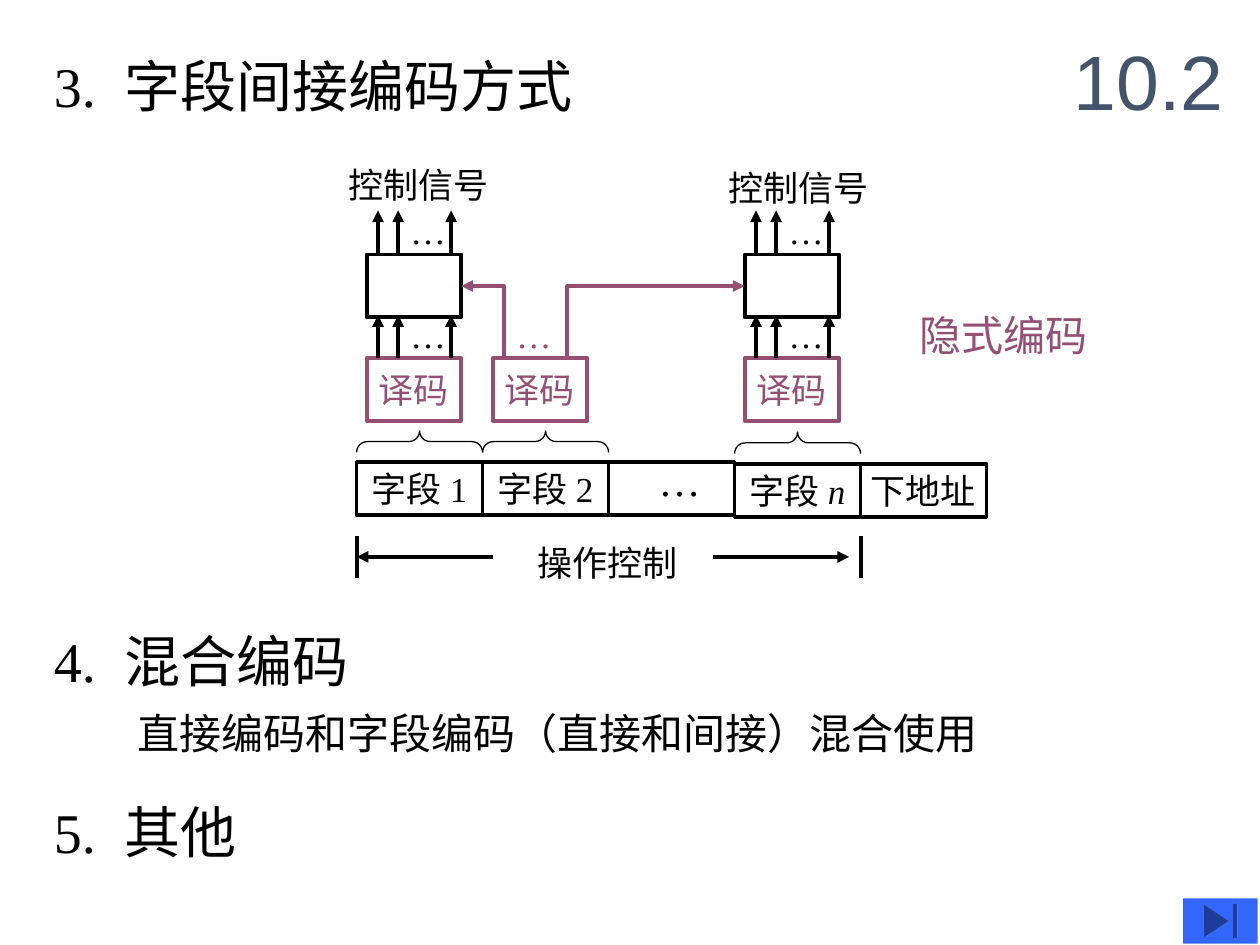
from pptx import Presentation
from pptx.dml.color import RGBColor
from pptx.enum.shapes import MSO_CONNECTOR as Link, MSO_SHAPE as Kind
from pptx.enum.text import MSO_ANCHOR as Anchor, PP_ALIGN as Align
from pptx.oxml.ns import qn
from pptx.util import Inches, Pt
from lxml.etree import SubElement

HUES = {"ink": "000000", "plum": "954F72", "slate": "44546A", "blue": "3366FF"}
SERIF, SANS = "Times New Roman", "DejaVu Sans"


def paint(line, hue, width=2.25):
    """Colour a line and set its width."""
    line.color.rgb = RGBColor.from_string(HUES[hue])
    line.width = Pt(width)


def style(run, size, hue="ink", face=SERIF):
    """Set the font of a run."""
    font = run.font
    font.size, font.name = Pt(size), face
    font.color.rgb = RGBColor.from_string(HUES[hue])


def tip(shape):
    """Put a triangle at the end of a line."""
    line = shape.line._get_or_add_ln()
    SubElement(line, qn("a:tailEnd"), type="triangle")


def label(slide, x, y, w, h, text, size=20, hue="ink", face=SERIF, wrap=False):
    """Add a text box with one run."""
    box = slide.shapes.add_textbox(Inches(x), Inches(y), Inches(w), Inches(h))
    box.text_frame.word_wrap = wrap
    box.text_frame.text = text
    style(box.text_frame.paragraphs[0].runs[0], size, hue, face)
    return box


def stroke(slide, x1, y1, x2, y2, head=True):
    """Add a straight line, with or without an arrowhead."""
    link = slide.shapes.add_connector(
        Link.STRAIGHT, Inches(x1), Inches(y1), Inches(x2), Inches(y2))
    paint(link.line, "ink")
    if head:
        tip(link)
    SubElement(link._element.spPr, qn("a:effectLst"))


def frame(slide, x, y, w, h, parts=(), hue="ink"):
    """Add an outlined box holding centred runs."""
    box = slide.shapes.add_shape(
        Kind.RECTANGLE, Inches(x), Inches(y), Inches(w), Inches(h))
    box.shadow.inherit = False
    box.fill.background()
    paint(box.line, hue)
    text = box.text_frame
    text.word_wrap = False
    text.vertical_anchor = Anchor.MIDDLE
    para = text.paragraphs[0]
    para.alignment = Align.CENTER
    for part in parts:
        run = para.add_run()
        run.text = part
        style(run, 20, hue)
    return box


def brace(slide, x, y, w):
    """Add a brace of width w, pointing up, whose feet stand at y."""
    thin = 0.17
    shape = slide.shapes.add_shape(
        Kind.LEFT_BRACE, Inches(x + (w - thin) / 2), Inches(y - (w + thin) / 2),
        Inches(thin), Inches(w))
    shape.rotation = 90
    shape.adjustments[0] = 0.5
    shape.shadow.inherit = False
    shape.fill.background()
    paint(shape.line, "ink", 0.75)


def elbow(slide, points):
    """Add a bent arrow through the points."""
    first, *rest = [(Inches(x), Inches(y)) for x, y in points]
    pen = slide.shapes.build_freeform(*first)
    pen.add_line_segments(rest, close=False)
    shape = pen.convert_to_shape()
    shape.shadow.inherit = False
    shape.fill.background()
    paint(shape.line, "plum")
    tip(shape)


def rays(slide, x, y):
    """Add three arrows rising from y and the dots between them."""
    for step in (0.09, 0.25, 0.67):
        stroke(slide, x + step, y, x + step, y - 0.34)
    label(slide, x + 0.25, y - 0.4, 0.48, 0.44, "…")


def decoder(slide, x, y):
    """Add a decoder box."""
    frame(slide, x, y, 0.75, 0.5, ["译码"], "plum")


def stack(slide, x, y):
    """Add a decoder with the stage and the signals above it."""
    decoder(slide, x, y)
    rays(slide, x, y)
    frame(slide, x, y - 0.82, 0.75, 0.5)
    rays(slide, x, y - 0.83)


def word(slide, x, y):
    """Add the row of fields with braces and the span below."""
    cells = [["字段 1"], ["字段 2"], [], ["字段 ", "n"], ["下地址"]]
    for i, parts in enumerate(cells):
        top = y + (0.01 if i > 2 else 0)
        box = frame(slide, x + i, top, 1, 0.42, parts)
        if i in (0, 1, 3):
            brace(slide, x + i, top - 0.08, 1)
        if i == 3:
            box.text_frame.paragraphs[0].runs[1].font.italic = True
    label(slide, x + 2.3, y - 0.11, 0.53, 0.5, "…", 24)
    for end in (x, x + 4):
        stroke(slide, end, y + 0.58, end, y + 0.92, False)
    stroke(slide, x + 1.08, y + 0.75, x, y + 0.75)
    stroke(slide, x + 2.83, y + 0.75, x + 3.91, y + 0.75)
    label(slide, x + 1.34, y + 0.58, 1.31, 0.44, "操作控制")


def diagram(slide, x, y):
    """Add the whole encoding diagram."""
    left, mid, right, row = x + 0.24, x + 1.24, x + 3.24, y + 1.59
    label(slide, x, y, 1.31, 0.44, "控制信号")
    label(slide, x + 3.01, y + 0.02, 1.31, 0.44, "控制信号")
    stack(slide, left, row)
    decoder(slide, mid, row)
    stack(slide, right, row)
    label(slide, mid + 0.09, row - 0.4, 0.48, 0.44, "…", hue="plum")
    bend = row - 0.57
    for start, end in ((mid + 0.09, left + 0.75), (mid + 0.59, right)):
        elbow(slide, [(start, row), (start, bend), (end, bend)])
    word(slide, x + 0.16, y + 2.42)


def heading(slide, x, y, w, mark, text):
    """Add a numbered heading with a hanging indent."""
    box = label(slide, x, y, w, 0.64, mark + "\t", 32, wrap=True)
    para = box.text_frame.paragraphs[0]
    props = para._p.get_or_add_pPr()
    props.set("marL", str(Inches(0.56)))
    props.set("indent", str(-Inches(0.56)))
    run = para.add_run()
    run.text = text
    style(run, 32, face=SANS)


def number(slide, x, y, w, h):
    """Place the section number in the title."""
    title = slide.shapes.title
    title.left, title.top = Inches(x), Inches(y)
    title.width, title.height = Inches(w), Inches(h)
    title.text_frame.text = "10.2"
    title.text_frame.vertical_anchor = Anchor.MIDDLE
    para = title.text_frame.paragraphs[0]
    para.alignment = Align.LEFT
    style(para.runs[0], 44, "slate", "Arial")


def button(slide, x, y, w, h):
    """Add the button that leads to the end."""
    shape = slide.shapes.add_shape(
        Kind.ACTION_BUTTON_END, Inches(x), Inches(y), Inches(w), Inches(h))
    shape.shadow.inherit = False
    shape.fill.solid()
    shape.fill.fore_color.rgb = RGBColor.from_string(HUES["blue"])
    shape.line.fill.background()


def main():
    """Build the slide and save it."""
    deck = Presentation()
    deck.slide_width, deck.slide_height = Inches(10), Inches(7.5)
    slide = deck.slides.add_slide(deck.slide_layouts[5])
    number(slide, 8.42, 0.17, 1.58, 0.92)
    heading(slide, 0.33, 0.36, 8.58, "3.", "字段间接编码方式")
    diagram(slide, 2.67, 1.25)
    label(slide, 7.2, 2.41, 2.36, 0.5, "隐式编码", 24, "plum", wrap=True)
    heading(slide, 0.33, 4.92, 7.32, "4.", "混合编码")
    label(slide, 0.99, 5.57, 8.35, 0.5,
          "直接编码和字段编码（直接和间接）混合使用", 24, face=SANS, wrap=True)
    heading(slide, 0.33, 6.28, 6.06, "5.", "其他")
    button(slide, 9.39, 7.13, 0.59, 0.36)
    deck.save("out.pptx")


if __name__ == "__main__":
    main()
